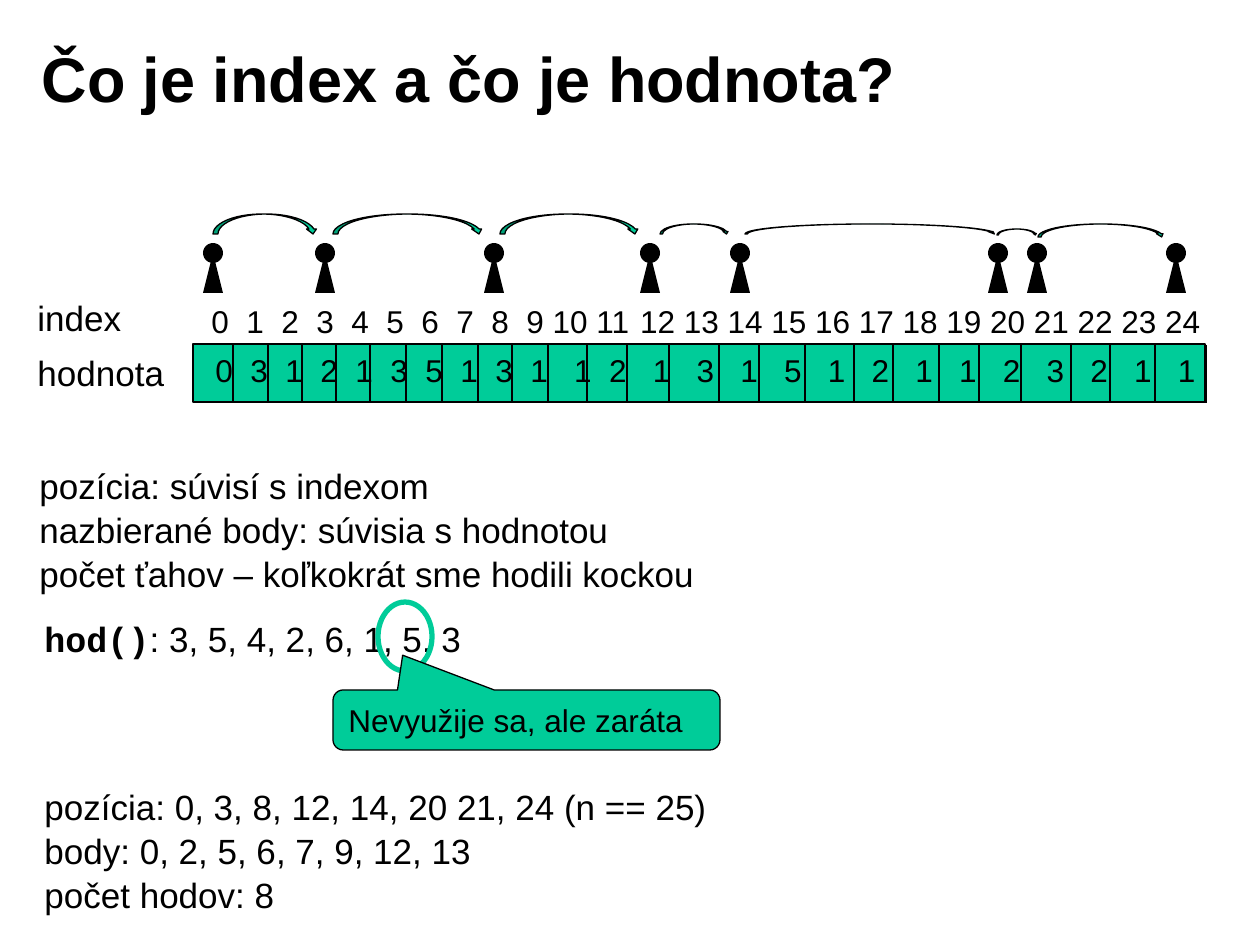
"""Builds a slide that explains index and value on a board-game track."""
from itertools import accumulate

from lxml.etree import SubElement
from pptx import Presentation
from pptx.dml.color import RGBColor
from pptx.enum.shapes import MSO_CONNECTOR as Connector, MSO_SHAPE as Shape
from pptx.enum.text import MSO_ANCHOR as Anchor, PP_ALIGN as Align
from pptx.oxml.ns import qn
from pptx.util import Pt

COLORS = {"text": "000000", "accent": "00CC99"}
SLIDE_WIDTH, SLIDE_HEIGHT = 1260, 945
EMU_PER_PX = 914400 / 126

INDEXES = range(25)
VALUES = [0, 3, 1, 2, 1, 3, 5, 1, 3, 1, 1, 2, 1, 3, 1, 5, 1, 2, 1, 1, 2, 3, 2, 1, 1]
INDEX_GAPS_PT = [20] * 9 + [15] + [25] * 14
VALUE_GAPS_PT = [20] * 9 + [25, 20] + [25] * 13

DIVIDERS = [40, 75, 109, 143, 177, 213, 249, 285, 319, 355, 394, 434, 476,
            526, 566, 612, 661, 700, 746, 786, 828, 878, 917, 962, 1013]
PLAYERS = [10, 122, 291, 447, 537, 795, 834, 973]
JUMPS = [(20, 0, 105, 20), (140, 0, 151, 20), (307, 0, 140, 20), (467, 10, 69, 10),
         (552, 10, 252, 10), (804, 15, 40, 6), (845, 10, 127, 13)]


def px(*lengths):
    """Turn pixel lengths into EMU."""
    return [round(length * EMU_PER_PX) for length in lengths]


def rgb(name):
    """Look up a colour of the palette."""
    return RGBColor.from_string(COLORS[name])


def add_run(paragraph, text, size, font="Arial", bold=False):
    """Add one formatted run to a paragraph."""
    run = paragraph.add_run()
    run.text = text
    run.font.name, run.font.size, run.font.bold = font, Pt(size), bold
    run.font.color.rgb = rgb("text")


def add_lines(slide, box, lines, size=20):
    """Add a text box in which each line is a list of runs."""
    frame = slide.shapes.add_textbox(*px(*box)).text_frame
    frame.word_wrap = True
    for number, runs in enumerate(lines):
        paragraph = frame.add_paragraph() if number else frame.paragraphs[0]
        paragraph.line_spacing = 1.04
        for text, *style in runs:
            add_run(paragraph, text, size, *style)
    return frame


def add_number_row(slide, box, numbers, gaps):
    """Add a row of numbers set at tab stops."""
    text = "\t".join(map(str, numbers))
    paragraph = add_lines(slide, box, [[(text,)]], 18).paragraphs[0]
    tabs = SubElement(paragraph._p.get_or_add_pPr(), qn("a:tabLst"))
    for stop in accumulate(gaps):
        SubElement(tabs, qn("a:tab"), pos=str(Pt(stop)), algn="l")


def add_figure(shapes, kind, box, fill="accent", line="text", weight=0.75):
    """Add a preset shape with the given fill and line."""
    shape = shapes.add_shape(kind, *px(*box))
    shape.shadow.inherit = False
    if fill:
        shape.fill.solid()
        shape.fill.fore_color.rgb = rgb(fill)
    else:
        shape.fill.background()
    if line:
        shape.line.color.rgb = rgb(line)
        shape.line.width = Pt(weight)
    else:
        shape.line.fill.background()
    return shape


def add_title(slide, box, text):
    """Place and fill the title placeholder."""
    title = slide.shapes.title
    title.left, title.top, title.width, title.height = px(*box)
    title.text_frame.word_wrap = True
    title.text_frame.vertical_anchor = Anchor.MIDDLE
    paragraph = title.text_frame.paragraphs[0]
    paragraph.alignment = Align.LEFT
    add_run(paragraph, text, 36, bold=True)


def add_board(slide, box):
    """Draw the strip of cells with its labels, indexes and values."""
    left, top, width, height = box
    add_figure(slide.shapes, Shape.RECTANGLE, box)
    add_lines(slide, (left - 168, top - 55, 120, 55), [[("index",)]])
    add_lines(slide, (left - 168, top, 160, 55), [[("hodnota",)]])
    add_number_row(slide, (left + 6, top - 50, width + 11, 50), INDEXES, INDEX_GAPS_PT)
    add_number_row(slide, (left + 10, top - 1, width + 2, 50), VALUES, VALUE_GAPS_PT)
    for offset in DIVIDERS:
        x = left + offset
        divider = slide.shapes.add_connector(
            Connector.STRAIGHT, *px(x, top + 1, x, top + height + 1))
        divider.line.color.rgb = rgb("text")
        divider.line.width = Pt(0.75)
        SubElement(divider._element.spPr, qn("a:effectLst"))


def add_track(slide, left, top):
    """Draw the player at each stop and the jumps between the stops."""
    for offset in PLAYERS:
        player = slide.shapes.add_group_shape().shapes
        x, y = left + offset, top + 29
        add_figure(player, Shape.OVAL, (x, y, 20, 20), "text", None)
        add_figure(player, Shape.ISOSCELES_TRIANGLE, (x, y + 10, 20, 40), "text", None)
    for x, y, width, height in JUMPS:
        add_figure(slide.shapes, Shape.CURVED_DOWN_ARROW, (left + x, top + y, width, height))


def add_throws(slide, left, top):
    """Add the list of throws with the marked throw and its callout."""
    throws = [("hod()", "Courier New", True), (": 3, 5, 4, 2, 6, 1, 5, 3",)]
    add_lines(slide, (left, top, 500, 55), [throws])
    add_figure(slide.shapes, Shape.OVAL, (left + 346, top - 8, 54, 69), None, "accent", 3)
    callout = add_figure(slide.shapes, Shape.ROUNDED_RECTANGULAR_CALLOUT,
                         (left + 301, top + 80, 387, 60))
    for number, value in enumerate((-0.32, -1.08, 0.17)):
        callout.adjustments[number] = value
    frame = callout.text_frame
    frame.word_wrap = True
    frame.vertical_anchor = Anchor.TOP
    paragraph = frame.paragraphs[0]
    paragraph.alignment = Align.LEFT
    paragraph.line_spacing = 1.04
    add_run(paragraph, "Nevyužije sa, ale zaráta", 18)


def main():
    """Build and save the slide."""
    presentation = Presentation()
    presentation.slide_width, presentation.slide_height = px(SLIDE_WIDTH, SLIDE_HEIGHT)
    slide = presentation.slides.add_slide(presentation.slide_layouts[5])
    add_title(slide, (29, 19, 1012, 117), "Čo je index a čo je hodnota?")
    add_board(slide, (193, 344, 1012, 58))
    add_track(slide, 193, 214)
    add_lines(slide, (27, 457, 700, 139), [
        [("pozícia: súvisí s indexom",)],
        [("nazbierané body: súvisia s hodnotou",)],
        [("počet ťahov – koľkokrát sme hodili kockou",)],
    ])
    add_throws(slide, 32, 610)
    add_lines(slide, (32, 778, 700, 139), [
        [("pozícia: 0, 3, 8, 12, 14, 20 21, 24 (n == 25)",)],
        [("body: 0, 2, 5, 6, 7, 9, 12, 13",)],
        [("počet hodov: 8",)],
    ])
    presentation.save("out.pptx")


if __name__ == "__main__":
    main()
